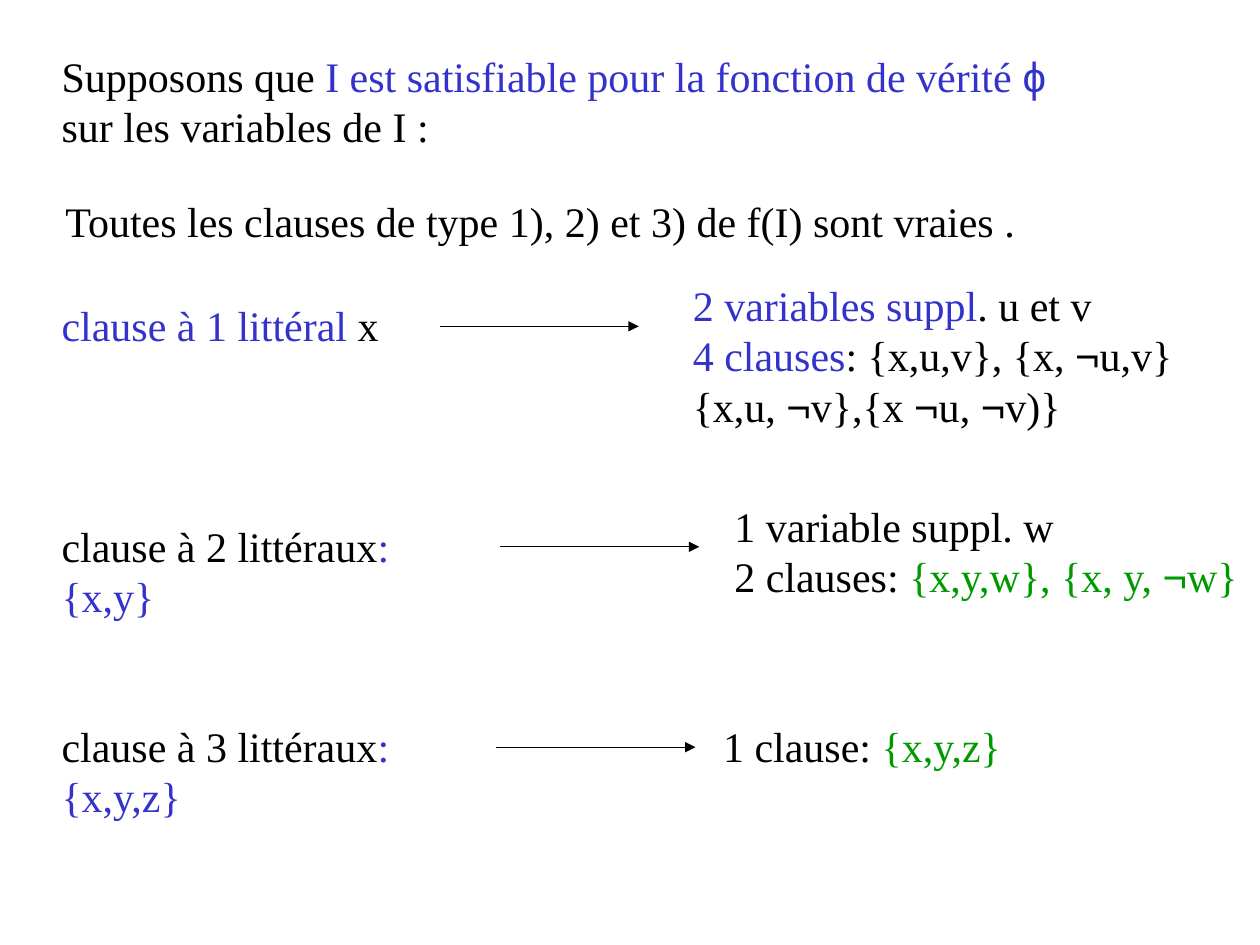
from dataclasses import dataclass
from itertools import groupby

from lxml import etree
from pptx import Presentation
from pptx.dml.color import RGBColor
from pptx.enum.shapes import MSO_CONNECTOR
from pptx.enum.text import MSO_AUTO_SIZE
from pptx.oxml.ns import qn
from pptx.util import Inches, Pt

STRAIGHT = MSO_CONNECTOR.STRAIGHT
FIT = MSO_AUTO_SIZE.SHAPE_TO_FIT_TEXT


@dataclass(frozen=True)
class Theme:
    black: RGBColor = RGBColor(0, 0, 0)
    blue: RGBColor = RGBColor(0x33, 0x33, 0xCC)
    green: RGBColor = RGBColor(0, 0x99, 0)
    font: str = "Times New Roman"
    signs: str = "Arial"
    size: Pt = Pt(24)
    rule: Pt = Pt(0.75)


THEME = Theme()
BLACK, BLUE, GREEN = THEME.black, THEME.blue, THEME.green

INTRO = [
    [("Supposons que ", BLACK),
     ("I est satisfiable pour la fonction de vérité ϕ", BLUE)],
    [("sur les variables de I :", BLACK)],
]
CLAIM = [[("Toutes les clauses de type 1), 2) et 3) de f(I) sont vraies .", BLACK)]]

ONE = [[("clause à 1 littéral", BLUE), (" x", BLACK)]]
ONE_OUT = [
    [("2 variables suppl", BLUE), (". u et v", BLACK)],
    [("4 clauses", BLUE), (": {x,u,v}, {x, ¬u,v}", BLACK)],
    [("{x,u, ¬v},{x ¬u, ¬v)}", BLACK)],
]
TWO = [[("clause à 2 littéraux", BLACK), (":", BLUE)], [("{x,y}", BLUE)]]
TWO_OUT = [
    [("1 variable suppl. w", BLACK)],
    [("2 clauses: ", BLACK), ("{x,y,w}, {x, y, ¬w}", GREEN)],
]
THREE = [[("clause à 3 littéraux", BLACK), (":", BLUE)], [("{x,y,z}", BLUE)]]
THREE_OUT = [[("1 clause: ", BLACK), ("{x,y,z}", GREEN)]]

# label, label width, arrow offset, result, result offset, result lift, result width
CASES = [
    (2.33, ONE, 2.72, 3.1, ONE_OUT, 5.01, 0.16, 4.03),
    (4.08, TWO, 2.8, 3.58, TWO_OUT, 5.34, 0.16, 4.26),
    (5.67, THREE, 2.8, 3.55, THREE_OUT, 5.25, 0, 2.42),
]


def add_text(shapes, left, top, width, lines):
    height = 0.1 + 0.4 * len(lines)
    box = shapes.add_textbox(Inches(left), Inches(top), Inches(width), Inches(height))
    frame = box.text_frame
    frame.word_wrap = False
    frame.auto_size = FIT
    for i, line in enumerate(lines):
        para = frame.add_paragraph() if i else frame.paragraphs[0]
        for text, ink in line:
            for sign, chars in groupby(text, lambda char: char in "ϕ¬"):
                run = para.add_run()
                run.text = "".join(chars)
                run.font.name = THEME.signs if sign else THEME.font
                run.font.size = THEME.size
                run.font.color.rgb = ink


def add_arrow(shapes, left, top, width):
    line = shapes.add_connector(
        STRAIGHT, Inches(left), Inches(top), Inches(left + width), Inches(top))
    line.line.color.rgb = BLACK
    line.line.width = THEME.rule
    etree.SubElement(line.line._get_or_add_ln(), qn("a:tailEnd"), type="triangle")
    etree.SubElement(line._element.spPr, qn("a:effectLst"))


def add_intro(slide, left, top):
    add_text(slide.shapes, left, top, 8.09, INTRO)
    add_text(slide.shapes, left + 0.03, top + 1.15, 7.93, CLAIM)


def add_case(slide, left, top, label, wide, start, result, shift, lift, span):
    shapes = slide.shapes.add_group_shape().shapes
    add_text(shapes, left, top, wide, label)
    add_arrow(shapes, left + start, top + 0.26, 1.58)
    add_text(shapes, left + shift, top - lift, span, result)


def main():
    deck = Presentation()
    deck.slide_width, deck.slide_height = Inches(10), Inches(7.5)
    slide = deck.slides.add_slide(deck.slide_layouts[6])
    left = 0.39
    add_intro(slide, left, 0.35)
    for case in CASES:
        add_case(slide, left, *case)
    deck.save("out.pptx")


if __name__ == "__main__":
    main()
